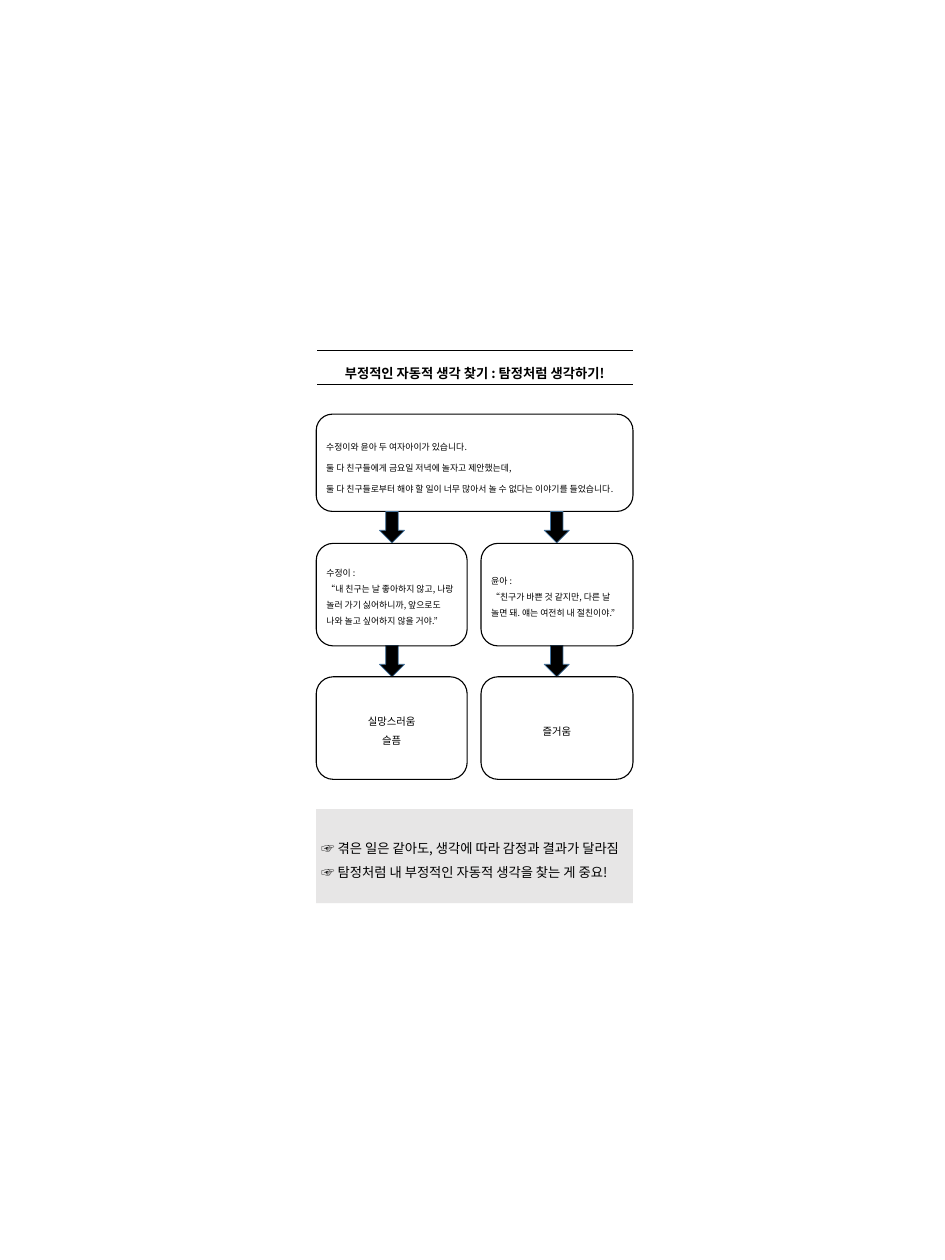
from lxml import etree
from pptx import Presentation
from pptx import util as u
from pptx.dml.color import RGBColor
from pptx.enum import shapes, text
from pptx.oxml import ns

PX = 9144  # 100 px to the inch
FONT = "Noto Sans CJK KR"
COLORS = {"ink": "000000", "arrow_line": "43739E", "panel": "E7E6E6", "paper": "FFFFFF"}

LEFT, WIDTH = 595, 596
COLUMNS = [(595, 284), (905, 286)]
ARROW_LEFTS = [714, 1024]
THOUGHT_TOP, FEELING_TOP, BOX_HEIGHT = 1022, 1273, 193

SITUATION = [
    "수정이와 윤아 두 여자아이가 있습니다.",
    "둘 다 친구들에게 금요일 저녁에 놀자고 제안했는데,",
    "둘 다 친구들로부터 해야 할 일이 너무 많아서 놀 수 없다는 이야기를 들었습니다.",
]
THOUGHTS = [
    ["수정이 :",
     "“내 친구는 날 좋아하지 않고, 나랑 놀러 가기 싫어하니까, 앞으로도",
     "나와 놀고 싶어하지 않을 거야.”"],
    ["윤아 :",
     "“친구가 바쁜 것 같지만, 다른 날",
     "놀면 돼. 얘는 여전히 내 절친이야.”"],
]
FEELINGS = [["실망스러움", "슬픔"], ["즐거움"]]
SUMMARY = [
    "☞ 겪은 일은 같아도, 생각에 따라 감정과 결과가 달라짐",
    "☞ 탐정처럼 내 부정적인 자동적 생각을 찾는 게 중요!",
]


def px(*lengths):
    return [u.Emu(length * PX) for length in lengths]


def color(name):
    return RGBColor.from_string(COLORS[name])


def write(frame, lines, size, spacing=1.5, align=text.PP_ALIGN.LEFT, bold=False):
    frame.word_wrap = True
    for index, line in enumerate(lines):
        paragraph = frame.add_paragraph() if index else frame.paragraphs[0]
        paragraph.text = line
        paragraph.alignment = align
        paragraph.line_spacing = spacing
        font = paragraph.font
        font.size, font.bold, font.name = u.Pt(size), bold, FONT
        font.color.rgb = color("ink")
        # Korean letters take the East Asian typeface
        properties = paragraph._p.pPr.find(ns.qn("a:defRPr"))
        etree.SubElement(properties, ns.qn("a:ea"), typeface=FONT)


def add_box(slide, kind, box, fill=None, line=None, line_width=1.5):
    shape = slide.shapes.add_shape(kind, *px(*box))
    shape.shadow.inherit = False
    if fill:
        shape.fill.solid()
        shape.fill.fore_color.rgb = color(fill)
    else:
        shape.fill.background()
    if line:
        shape.line.color.rgb = color(line)
        shape.line.width = u.Pt(line_width)
    else:
        shape.line.fill.background()
    return shape


def add_card(slide, box, lines, size, **style):
    shape = add_box(slide, shapes.MSO_SHAPE.ROUNDED_RECTANGLE, box, line="ink")
    shape.text_frame.vertical_anchor = text.MSO_ANCHOR.MIDDLE
    write(shape.text_frame, lines, size, **style)


def add_arrows(slide, top):
    for left in ARROW_LEFTS:
        add_box(slide, shapes.MSO_SHAPE.DOWN_ARROW, (left, top, 47, 59),
                fill="ink", line="arrow_line", line_width=1)


def add_title_table(slide, box, title):
    table = slide.shapes.add_table(1, 1, *px(*box)).table
    table.first_row = table.horz_banding = False
    cell = table.cell(0, 0)
    properties = cell._tc.get_or_add_tcPr()
    for side, name in (("L", "paper"), ("R", "paper"), ("T", "ink"), ("B", "ink")):
        border = etree.SubElement(properties, ns.qn(f"a:ln{side}"), w=str(u.Pt(1)))
        fill = etree.SubElement(border, ns.qn("a:solidFill"))
        etree.SubElement(fill, ns.qn("a:srgbClr"), val=COLORS[name])
    cell.fill.background()
    write(cell.text_frame, [title], 18, align=text.PP_ALIGN.CENTER, bold=True)


def main():
    presentation = Presentation()
    presentation.slide_width, presentation.slide_height = px(1778, 2370)
    slide = presentation.slides.add_slide(presentation.slide_layouts[6])

    # Title between two rules
    add_title_table(slide, (LEFT, 659, WIDTH, 60),
                    "부정적인 자동적 생각 찾기 : 탐정처럼 생각하기!")

    # Shared situation, then each girl's thought and feeling
    add_card(slide, (LEFT, 779, WIDTH, 183), SITUATION, 12, spacing=2.0)
    add_arrows(slide, 962)
    add_arrows(slide, 1214)
    for (left, width), thought, feeling in zip(COLUMNS, THOUGHTS, FEELINGS):
        add_card(slide, (left, THOUGHT_TOP, width, BOX_HEIGHT), thought, 12)
        add_card(slide, (left, FEELING_TOP, width, BOX_HEIGHT), feeling, 14,
                 align=text.PP_ALIGN.CENTER)

    # Summary panel
    panel = add_box(slide, shapes.MSO_SHAPE.RECTANGLE, (LEFT, 1522, WIDTH, 177), fill="panel")
    panel.text_frame.vertical_anchor = text.MSO_ANCHOR.MIDDLE
    write(panel.text_frame, SUMMARY, 18)

    presentation.save("out.pptx")


if __name__ == "__main__":
    main()
